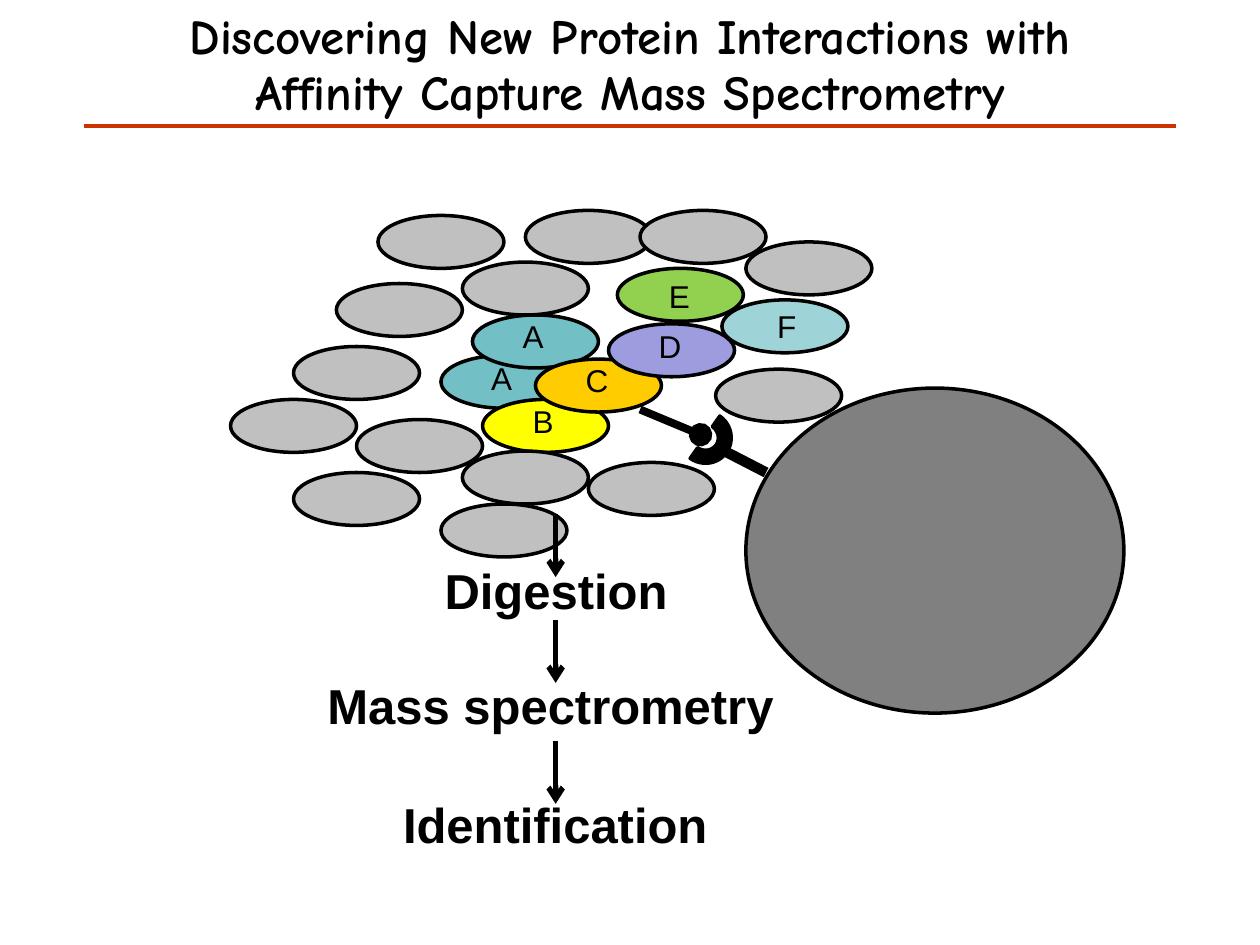
from lxml import etree
from pptx import Presentation
from pptx.dml.color import RGBColor
from pptx.enum.shapes import MSO_CONNECTOR, MSO_SHAPE
from pptx.enum.text import MSO_ANCHOR, MSO_AUTO_SIZE, PP_ALIGN
from pptx.oxml.ns import qn
from pptx.util import Inches, Pt

PX = Inches(0.01)
SLIDE_W, SLIDE_H = 1000, 750
PROTEIN_W, PROTEIN_H = 100, 42

STRAIGHT = MSO_CONNECTOR.STRAIGHT
ELLIPSE = MSO_SHAPE.OVAL
BLOCK_ARC = MSO_SHAPE.BLOCK_ARC

BLACK = RGBColor(0x00, 0x00, 0x00)
RULE_RED = RGBColor(0xCC, 0x33, 0x00)
TEAL = RGBColor(0x72, 0xBF, 0xC5)
YELLOW = RGBColor(0xFF, 0xFF, 0x00)
ORANGE = RGBColor(0xFF, 0xCC, 0x00)
VIOLET = RGBColor(0x9C, 0x9C, 0xDF)
GREEN = RGBColor(0x92, 0xD0, 0x50)
PALE_TEAL = RGBColor(0x9E, 0xD3, 0xD7)
LIGHT_GREY = RGBColor(0xC0, 0xC0, 0xC0)
BEAD_GREY = RGBColor(0x80, 0x80, 0x80)

# Letter, colour, corner in the cell, corner of the letter in its ellipse
COMPLEX = [
    ("A", TEAL, (167, 115), (30, -2)),
    ("B", YELLOW, (200, 150), (30, -3)),
    ("A", TEAL, (192, 83), (30, -3)),
    ("C", ORANGE, (242, 118), (30, -3)),
    ("D", VIOLET, (300, 90), (30, -2)),
    ("E", GREEN, (307, 46), (31, 2)),
    ("F", PALE_TEAL, (390, 71), (34, 1)),
]
BYSTANDERS = [
    (100, 166), (50, 108), (84, 58), (184, 41), (184, 191), (385, 126),
    (234, 0), (284, 200), (0, 150), (50, 208), (117, 4), (167, 233),
    (325, 0), (409, 25),
]
# Step, left and top of its text, top of the arrow that leads to it
STEPS = [
    ("Digestion", 93, 32, 199, 0),
    ("Mass spectrometry", 0, 123, 379, 84),
    ("Identification", 60, 218, 265, 180),
]


def px(*lengths):
    return [length * PX for length in lengths]


def add_line(slide, start, end, color, width, tail=None):
    line = slide.shapes.add_connector(STRAIGHT, *px(*start, *end))
    line.line.color.rgb = color
    line.line.width = Pt(width)
    if tail:
        outline = line.line._get_or_add_ln()
        etree.SubElement(outline, qn("a:tailEnd"), type=tail)
    etree.SubElement(line._element.spPr, qn("a:effectLst"))


def add_outlined(slide, preset, box, fill):
    shape = slide.shapes.add_shape(preset, *px(*box))
    shape.shadow.inherit = False
    shape.fill.solid()
    shape.fill.fore_color.rgb = fill
    shape.line.color.rgb = BLACK
    shape.line.width = Pt(2)
    return shape


def style_font(font, name, size, bold):
    font.name = name
    font.size = Pt(size)
    font.bold = bold
    font.color.rgb = BLACK


def add_label(slide, text, box, size, bold=False):
    frame = slide.shapes.add_textbox(*px(*box)).text_frame
    frame.word_wrap = False
    frame.auto_size = MSO_AUTO_SIZE.SHAPE_TO_FIT_TEXT
    frame.text = text
    style_font(frame.paragraphs[0].runs[0].font, "Arial", size, bold)


def add_heading(slide, left, top, width, height):
    title = slide.shapes.title
    title.left, title.top, title.width, title.height = px(left, top, width, height)
    frame = title.text_frame
    frame.auto_size = MSO_AUTO_SIZE.NONE
    frame.word_wrap = True
    frame.vertical_anchor = MSO_ANCHOR.TOP
    frame.margin_left = frame.margin_right = 0
    frame.margin_top = frame.margin_bottom = 0
    frame.text = ("Discovering New Protein Interactions with\n"
                  "Affinity Capture Mass Spectrometry")
    for paragraph in frame.paragraphs:
        paragraph.alignment = PP_ALIGN.CENTER
        paragraph.line_spacing = 0.95
        paragraph.space_before = Pt(0)
        style_font(paragraph.runs[0].font, "Comic Neue", 28, True)
    rule_y = top + 92
    add_line(slide, (left + 67, rule_y), (left + width - 67, rule_y), RULE_RED, 2.5)


def add_proteins(slide, left, top):
    """Draw the lettered complex among the unrelated proteins of the cell."""
    for letter, color, (x, y), (dx, dy) in COMPLEX:
        x, y = left + x, top + y
        add_outlined(slide, ELLIPSE, (x, y, PROTEIN_W, PROTEIN_H), color)
        add_label(slide, letter, (x + dx, y + dy, 37, 40), 18)
    for x, y in BYSTANDERS:
        add_outlined(slide, ELLIPSE, (left + x, top + y, PROTEIN_W, PROTEIN_H),
                     LIGHT_GREY)


def add_affinity_bead(slide, left, top, width, height):
    """Draw the bead, its capturing arm and the tag of the bait protein."""
    add_line(slide, (left - 84, top + 17), (left - 36, top + 37), BLACK, 4.5, "oval")
    add_outlined(slide, ELLIPSE, (left, top, width, height), BEAD_GREY)
    add_line(slide, (left + 16, top + 67), (left - 17, top + 50), BLACK, 6)
    cup = add_outlined(slide, BLOCK_ARC, (left - 53, top + 18, 41, 42), BLACK)
    cup.rotation = 125


def add_workflow(slide, left, top):
    arrow_x = left + 191
    for step, x, y, width, arrow_y in STEPS:
        add_label(slide, step, (left + x, top + y, width, 57), 28, True)
        add_line(slide, (arrow_x, top + arrow_y), (arrow_x, top + arrow_y + 50),
                 BLACK, 3, "arrow")


def main():
    prs = Presentation()
    prs.slide_width, prs.slide_height = px(SLIDE_W, SLIDE_H)
    slide = prs.slides.add_slide(prs.slide_layouts[5])
    add_heading(slide, 0, 8, SLIDE_W, 140)
    add_proteins(slide, 183, 167)
    add_affinity_bead(slide, 592, 308, 300, 258)
    add_workflow(slide, 250, 408)
    prs.save("out.pptx")


if __name__ == "__main__":
    main()
